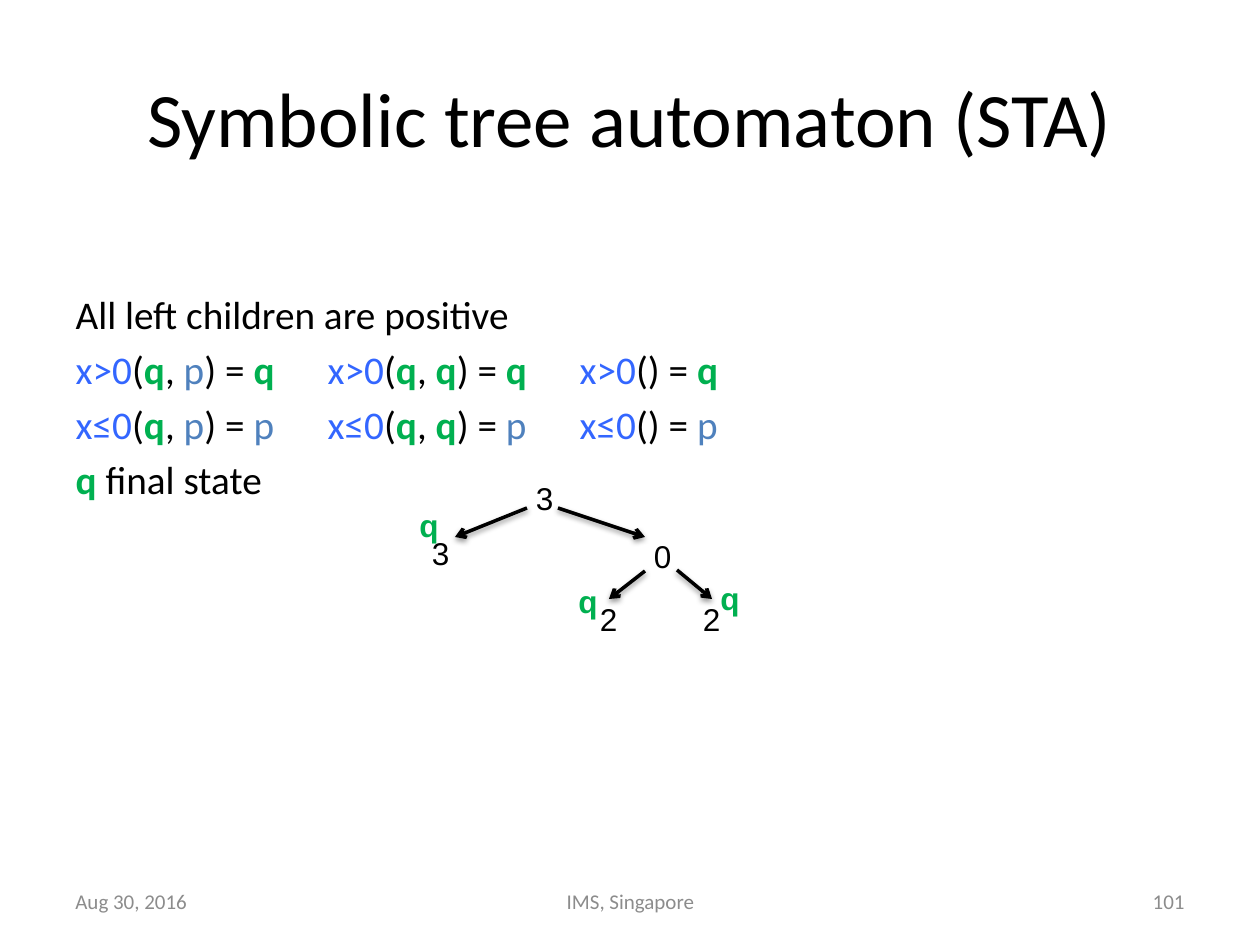
from itertools import groupby

from lxml.etree import SubElement
from pptx import Presentation
from pptx.dml.color import RGBColor
from pptx.enum.shapes import MSO_CONNECTOR
from pptx.enum.text import MSO_ANCHOR, MSO_AUTO_SIZE, PP_ALIGN
from pptx.oxml.ns import qn
from pptx.util import Pt

COLORS = {"text": "000000", "guard": "3366FF", "q": "00B050", "p": "4F81BD", "footer": "8C8C8C"}

TITLE = "Symbolic tree automaton (STA)"
INTRO = "All left children are positive"
# Rules of one line, and the tab stops (px) of its second and third rule
RULES = [
    (("x>0(q, p) = q", "x>0(q, q) = q", "x>0() = q"), (378, 765)),
    (("x≤0(q, p) = p", "x≤0(q, q) = p", "x≤0() = p"), (252, 512)),
]
FINAL = [("q ", "q"), ("final state", "text")]

NODE_SIZE = (37, 48)
NODES = [("3", 527, 474), ("3", 423, 529), ("0", 645, 532), ("2", 591, 595), ("2", 694, 595)]
EDGES = [
    ((527, 508), (455, 537)),
    ((558, 508), (645, 537)),
    ((645, 571), (609, 599)),
    ((677, 570), (712, 599)),
]
STATE_SIZE = (45, 50)
STATES = [(566, 576), (708, 573), (407, 500)]
FOOTERS = [
    ("Aug 30, 2016", 63, 294, PP_ALIGN.LEFT),
    ("IMS, Singapore", 431, 399, PP_ALIGN.CENTER),
    ("101", 903, 294, PP_ALIGN.RIGHT),
]


def px(n):
    return round(n * 914400 / 126)


def place(sp, x, y, w, h):
    sp.left, sp.top, sp.width, sp.height = px(x), px(y), px(w), px(h)


def style(r, size, color, font, bold=False):
    r.font.size, r.font.name, r.font.bold = Pt(size), font, bold
    r.font.color.rgb = RGBColor.from_string(COLORS[color])


def add_text(slide, text, box, size, color, font, bold=False, align=PP_ALIGN.LEFT):
    sp = slide.shapes.add_textbox(*map(px, box))
    p = sp.text_frame.paragraphs[0]
    p.text, p.alignment = text, align
    style(p.runs[0], size, color, font, bold)
    return sp.text_frame


def rule_runs(rule):
    """Split a rule into (text, role): its guard, then its states and punctuation."""
    def role(ch):
        return ch if ch in "qp" else "text"

    return [(rule[:3], "guard")] + [("".join(g), k) for k, g in groupby(rule[3:], role)]


def fill_line(p, runs, stops=()):
    pPr = p._p.get_or_add_pPr()
    pPr.set("marL", "0")
    pPr.set("indent", "0")
    SubElement(pPr, qn("a:buNone"))
    if stops:
        tabs = SubElement(pPr, qn("a:tabLst"))
        for stop in stops:
            SubElement(tabs, qn("a:tab"), pos=str(px(stop)), algn="l")
    for text, role in runs:
        r = p.add_run()
        r.text = text
        style(r, 22.4, role, "Calibri", role == "q")


def add_edge(slide, start, end):
    """Add an arrow with a soft shadow below it."""
    line = slide.shapes.add_connector(MSO_CONNECTOR.STRAIGHT, *map(px, start + end))
    line.line.width = Pt(2)
    line.line.color.rgb = RGBColor.from_string(COLORS["text"])
    SubElement(line.line._get_or_add_ln(), qn("a:tailEnd"), type="arrow")
    effects = SubElement(line._element.spPr, qn("a:effectLst"))
    shadow = SubElement(effects, qn("a:outerShdw"), blurRad=str(Pt(3.1)), dist=str(Pt(1.6)),
                        dir="5400000", rotWithShape="0")
    color = SubElement(shadow, qn("a:srgbClr"), val=COLORS["text"])
    SubElement(color, qn("a:alpha"), val="38000")


def main():
    prs = Presentation()
    prs.slide_width, prs.slide_height = px(1260), px(945)
    slide = prs.slides.add_slide(prs.slide_layouts[1])

    title, body = slide.placeholders
    place(title, 63, 38, 1134, 158)
    title.text_frame.text = TITLE
    style(title.text_frame.paragraphs[0].runs[0], 44, "text", "Calibri")

    place(body, 63, 284, 1134, 198)
    tf = body.text_frame
    tf.auto_size = MSO_AUTO_SIZE.NONE
    tf.paragraphs[0].space_before = Pt(0)
    fill_line(tf.paragraphs[0], [(INTRO, "text")])
    for rules, stops in RULES:
        runs = rule_runs(rules[0])
        for rule in rules[1:]:
            runs += [("\t", "text")] + rule_runs(rule)
        fill_line(tf.add_paragraph(), runs, stops)
    fill_line(tf.add_paragraph(), FINAL)

    for start, end in EDGES:
        add_edge(slide, start, end)
    for label, x, y in NODES:
        tf = add_text(slide, label, (x, y, *NODE_SIZE), 18, "text", "Arial")
        tf.margin_left = tf.margin_right = px(9)
        tf.margin_top = tf.margin_bottom = px(5)
    for x, y in STATES:
        add_text(slide, "q", (x, y, *STATE_SIZE), 18, "q", "Arial", bold=True)
    for text, x, w, align in FOOTERS:
        tf = add_text(slide, text, (x, 876, w, 50), 12, "footer", "Calibri", align=align)
        tf.word_wrap, tf.vertical_anchor = True, MSO_ANCHOR.MIDDLE

    prs.save("out.pptx")


if __name__ == "__main__":
    main()
